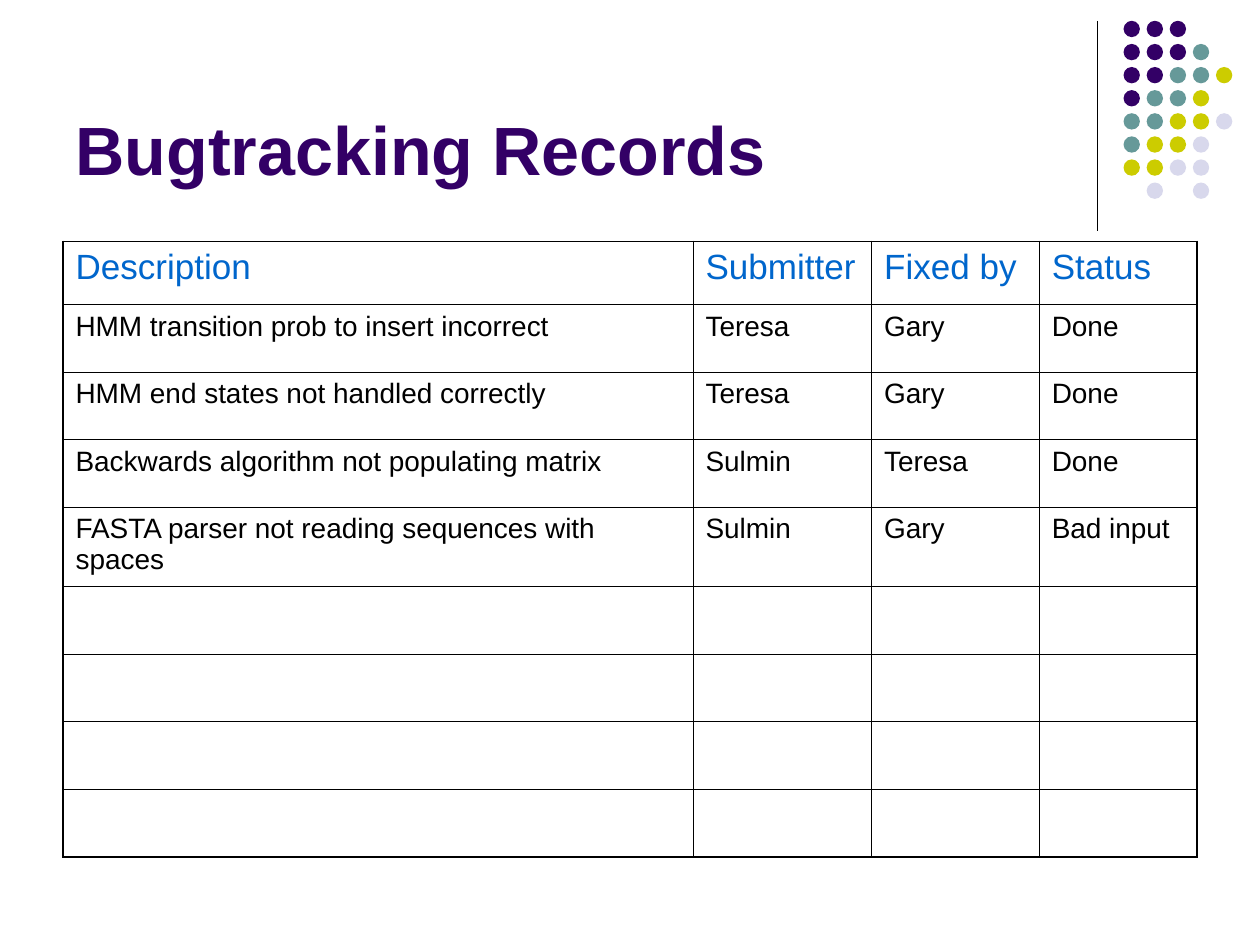
from dataclasses import dataclass

from pptx import Presentation
from pptx import util as u
from pptx.dml.color import RGBColor
from pptx.enum import shapes, text
from pptx.oxml.ns import qn
from lxml import etree

FONT = "Arial"
PURPLE = RGBColor(0x33, 0x00, 0x66)
TEAL = RGBColor(0x66, 0x99, 0x99)
OLIVE = RGBColor(0xCC, 0xCC, 0x00)
LAVENDER = RGBColor(0xD8, 0xD8, 0xEC)
BLUE = RGBColor(0x00, 0x66, 0xCC)
BLACK = RGBColor(0x00, 0x00, 0x00)

# Dot pattern: one letter per dot, a space where there is none
DOT_COLOURS = {"P": PURPLE, "T": TEAL, "O": OLIVE, "L": LAVENDER}
DOT_ROWS = ["PPP", "PPPT", "PPTTO", "PTTO", "TTOOL", "TOOL", "OOLL", " L L"]
DOT_LEFT, DOT_TOP, DOT_SIZE = 22.65, 0.42, 0.33
DOT_PITCH = 3.26 / 7

# Table
COLUMN_WIDTHS = [12.7, 3.6, 3.38, 3.18]
HEADER_HEIGHT, ROW_HEIGHT, TALL_HEIGHT = 1.27, 1.36, 1.61
EMPTY_ROWS = 4
OUTER_LINE, INNER_LINE = 1.08, 0.45
HEADINGS = ["Description", "Submitter", "Fixed by", "Status"]


@dataclass
class BugRecord:
    description: str
    submitter: str = ""
    fixed_by: str = ""
    status: str = ""
    height: float = ROW_HEIGHT

    def values(self) -> list[str]:
        return [self.description, self.submitter, self.fixed_by, self.status]


RECORDS = [
    BugRecord("HMM transition prob to insert incorrect", "Teresa", "Gary", "Done"),
    BugRecord("HMM end states not handled correctly", "Teresa", "Gary", "Done"),
    BugRecord("Backwards algorithm not populating matrix", "Sulmin", "Teresa", "Done"),
    BugRecord("FASTA parser not reading sequences with spaces", "Sulmin", "Gary",
              "Bad input", TALL_HEIGHT),
] + [BugRecord("") for _ in range(EMPTY_ROWS)]


def write_text(frame, words: str, *, size: float, colour: RGBColor,
               bold: bool = False, before: float = 0) -> None:
    para = frame.paragraphs[0]
    para.alignment = text.PP_ALIGN.LEFT
    para.space_before = u.Pt(before)
    para.font.size = u.Pt(size)
    if words:
        span = para.add_run()
        span.text = words
        span.font.name = FONT
        span.font.size = u.Pt(size)
        span.font.bold = bold
        span.font.color.rgb = colour


def draw_rule(page) -> None:
    rule = page.shapes.add_connector(
        shapes.MSO_CONNECTOR.STRAIGHT,
        u.Cm(22.12), u.Cm(0.42), u.Cm(22.12), u.Cm(4.66))
    rule.line.color.rgb = BLACK
    rule.line.width = u.Pt(0.75)
    etree.SubElement(rule._element.spPr, qn("a:effectLst"))


def draw_dots(page) -> None:
    group = page.shapes.add_group_shape()
    for row, letters in enumerate(DOT_ROWS):
        for column, letter in enumerate(letters):
            if letter == " ":
                continue
            dot = group.shapes.add_shape(
                shapes.MSO_SHAPE.OVAL,
                u.Cm(DOT_LEFT + column * DOT_PITCH),
                u.Cm(DOT_TOP + row * DOT_PITCH),
                u.Cm(DOT_SIZE), u.Cm(DOT_SIZE))
            dot.shadow.inherit = False
            dot.fill.solid()
            dot.fill.fore_color.rgb = DOT_COLOURS[letter]
            dot.line.fill.background()


def set_borders(cell, widths: dict[str, float]) -> None:
    properties = cell._tc.get_or_add_tcPr()
    for side, width in widths.items():
        line = etree.SubElement(properties, qn(f"a:ln{side}"), w=str(u.Pt(width)))
        fill = etree.SubElement(line, qn("a:solidFill"))
        etree.SubElement(fill, qn("a:srgbClr"), val=str(BLACK))


def draw_title(page) -> None:
    title = page.shapes.title
    title.left, title.top = u.Cm(1.27), u.Cm(0.33)
    title.width, title.height = u.Cm(20.96), u.Cm(3.61)
    title.text_frame.vertical_anchor = text.MSO_ANCHOR.BOTTOM
    write_text(title.text_frame, "Bugtracking Records", size=39, colour=PURPLE, bold=True)


def draw_table(page) -> None:
    heights = [HEADER_HEIGHT] + [record.height for record in RECORDS]
    rows = [HEADINGS] + [record.values() for record in RECORDS]
    table = page.shapes.add_table(
        len(rows), len(HEADINGS), u.Cm(1.27), u.Cm(4.87),
        u.Cm(sum(COLUMN_WIDTHS)), u.Cm(sum(heights))).table
    table.first_row = table.horz_banding = False
    for column, width in zip(table.columns, COLUMN_WIDTHS):
        column.width = u.Cm(width)

    last_row, last_column = len(rows) - 1, len(HEADINGS) - 1
    for r, values in enumerate(rows):
        table.rows[r].height = u.Cm(heights[r])
        style = (dict(size=20, colour=BLUE, before=5) if r == 0
                 else dict(size=16, colour=BLACK, before=4))
        for c, value in enumerate(values):
            cell = table.cell(r, c)
            on_edge = {"L": c == 0, "R": c == last_column,
                       "T": r == 0, "B": r == last_row}
            set_borders(cell, {side: OUTER_LINE if outer else INNER_LINE
                               for side, outer in on_edge.items()})
            cell.fill.background()
            write_text(cell.text_frame, value, **style)


def main() -> None:
    deck = Presentation()
    deck.slide_width, deck.slide_height = u.Cm(25.4), u.Cm(19.05)
    page = deck.slides.add_slide(deck.slide_layouts.get_by_name("Title Only"))
    draw_rule(page)
    draw_dots(page)
    draw_title(page)
    draw_table(page)
    deck.save("out.pptx")


if __name__ == "__main__":
    main()
